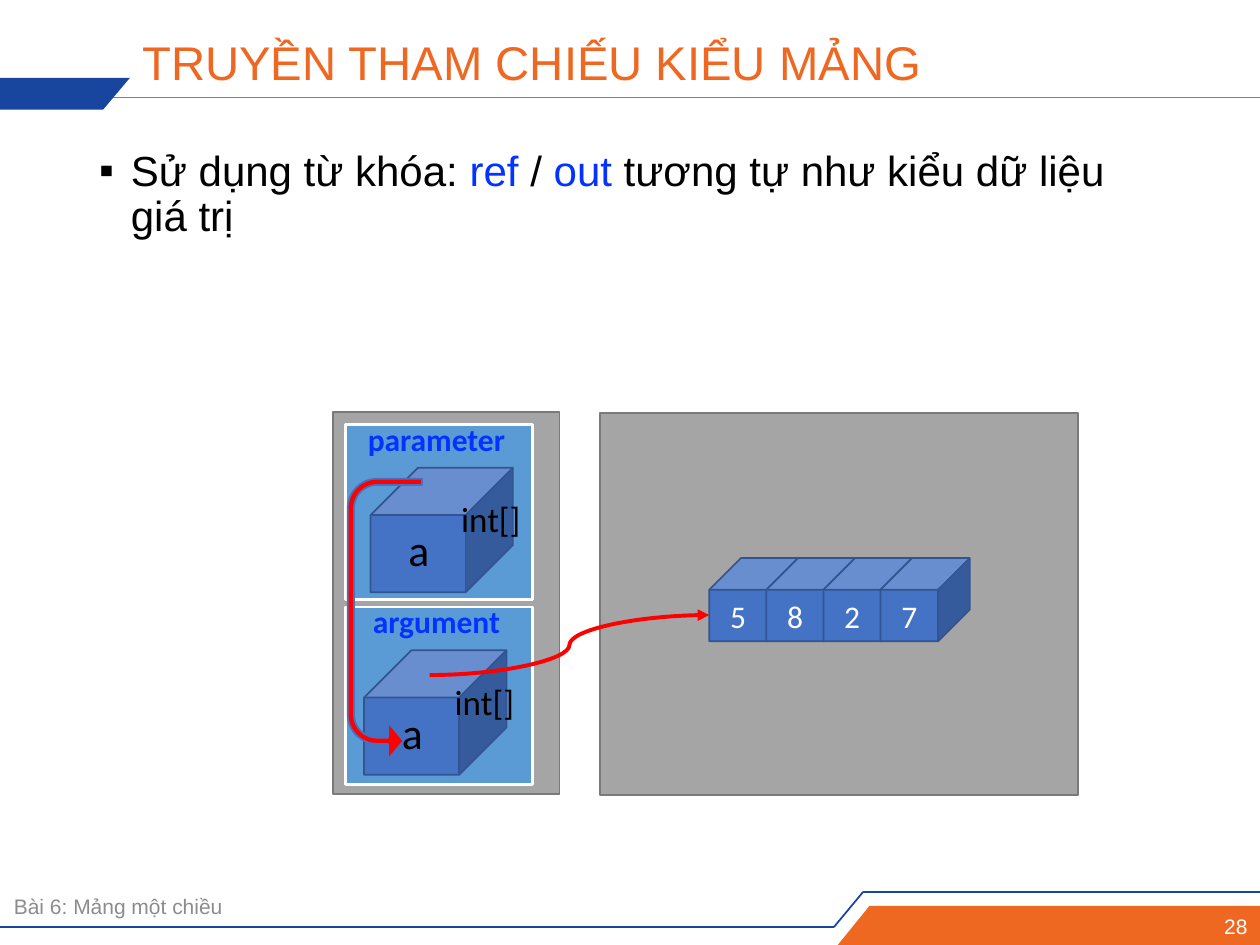
from dataclasses import dataclass

from lxml import etree
from pptx import Presentation
from pptx.dml.color import RGBColor
from pptx.enum.shapes import MSO_CONNECTOR, MSO_SHAPE
from pptx.enum.text import MSO_ANCHOR, PP_ALIGN
from pptx.oxml.ns import qn
from pptx.util import Cm, Pt

LEFT, CENTER, RIGHT = PP_ALIGN.LEFT, PP_ALIGN.CENTER, PP_ALIGN.RIGHT
TOP, MIDDLE = MSO_ANCHOR.TOP, MSO_ANCHOR.MIDDLE
RECT, CUBE, UTURN = MSO_SHAPE.RECTANGLE, MSO_SHAPE.CUBE, MSO_SHAPE.U_TURN_ARROW
STRAIGHT, CURVE = MSO_CONNECTOR.STRAIGHT, MSO_CONNECTOR.CURVE


@dataclass(frozen=True)
class Theme:
    orange: str = "EF6822"
    navy: str = "18459E"
    rule: str = "7F7F7F"
    muted: str = "8C8C8C"
    black: str = "000000"
    white: str = "FFFFFF"
    keyword: str = "0432FF"
    memory: str = "A5A5A5"
    memory_edge: str = "7A7A7A"
    variable: str = "5B9BD5"
    cube: str = "4472C4"
    cube_edge: str = "325491"
    arrow: str = "FF0000"
    heading_font: str = "Arial"
    diagram_font: str = "Calibri"
    title: float = 27
    body: float = 24
    small: float = 12
    name: float = 25
    kind: float = 20
    label: float = 18


T = Theme()


def rgb(color):
    return RGBColor.from_string(color)


def write(tf, runs, size, color=T.black, font=T.heading_font, bold=False,
          align=LEFT, anchor=TOP, spacing=None, bullet=None, wrap=True):
    tf.word_wrap = wrap
    tf.vertical_anchor = anchor
    p = tf.paragraphs[0]
    p.alignment = align
    if spacing:
        p.line_spacing = spacing
    if bullet:
        pPr = p._p.get_or_add_pPr()
        pPr.set("marL", str(Cm(0.64)))
        pPr.set("indent", str(-Cm(0.64)))
        etree.SubElement(pPr, qn("a:buFont")).set("typeface", font)
        etree.SubElement(pPr, qn("a:buChar")).set("char", bullet)
    for text, run_color in [(runs, color)] if isinstance(runs, str) else runs:
        r = p.add_run()
        r.text = text
        r.font.name = font
        r.font.size = Pt(size)
        r.font.bold = bold
        r.font.color.rgb = rgb(run_color)


def add_text(s, x, y, w, h, runs, size, **fmt):
    tb = s.shapes.add_textbox(Cm(x), Cm(y), Cm(w), Cm(h))
    write(tb.text_frame, runs, size, **fmt)


def paint(sp, fill, line=None, width=1):
    sp.shadow.inherit = False
    sp.fill.solid()
    sp.fill.fore_color.rgb = rgb(fill)
    if line:
        sp.line.color.rgb = rgb(line)
        sp.line.width = Pt(width)
    else:
        sp.line.fill.background()


def add_shape(s, kind, x, y, w, h, fill, line, width=1, adjustments=()):
    sp = s.shapes.add_shape(kind, Cm(x), Cm(y), Cm(w), Cm(h))
    for i, value in enumerate(adjustments):
        sp.adjustments[i] = value
    paint(sp, fill, line, width)
    return sp


def add_cube(s, x, y, w, h):
    return add_shape(s, CUBE, x, y, w, h, T.cube, T.cube_edge,
                     adjustments=[0.38])


def add_polygon(s, points, fill):
    start, *rest = [(Cm(x), Cm(y)) for x, y in points]
    fb = s.shapes.build_freeform(*start)
    fb.add_line_segments(rest)
    paint(fb.convert_to_shape(), fill)


def add_line(s, start, end, color, width=1, kind=STRAIGHT, arrow=False):
    cx = s.shapes.add_connector(kind, *(Cm(v) for v in (*start, *end)))
    cx.line.color.rgb = rgb(color)
    cx.line.width = Pt(width)
    if arrow:
        ln = cx.line._get_or_add_ln()
        etree.SubElement(ln, qn("a:tailEnd")).set("type", "triangle")
    etree.SubElement(cx._element.spPr, qn("a:effectLst"))


def header(s, x, y, w):
    add_line(s, (x + 1.83, y + 1.96), (x + w, y + 1.96), T.rule, 0.75)
    add_polygon(s, [(x, y + 1.57), (x + 2.62, y + 1.57),
                    (x + 2.08, y + 2.21), (x, y + 2.21)], T.navy)
    add_text(s, x + 2.62, y + 0.64, 21.03, 1.35, "TRUYỀN THAM CHIẾU KIỂU MẢNG",
             T.title, color=T.orange, anchor=MIDDLE, spacing=0.9)


def footer(s, x, y, w, h):
    right, bottom = x + w, y + h
    steps = [(x, y + 0.81), (x + 16.81, y + 0.81), (x + 17.4, y + 0.1),
             (right, y + 0.1)]
    for start, end in zip(steps, steps[1:]):
        add_line(s, start, end, T.navy)
    add_polygon(s, [(x + 17.53, y + 0.38), (right, y + 0.38),
                    (right, bottom), (x + 16.89, bottom)], T.orange)
    add_text(s, x + 0.03, y, 16.74, 0.79, "Bài 6: Mảng một chiều", T.small,
             color=T.muted, anchor=MIDDLE)
    add_text(s, right - 5.31, y + 0.43, 5.31, 0.71, "28", T.small,
             color=T.white, align=RIGHT, anchor=MIDDLE)


def body(s, x, y, w, h):
    runs = [("Sử dụng từ khóa: ", T.black), ("ref", T.keyword),
            (" / ", T.black), ("out ", T.keyword),
            ("tương tự như kiểu dữ liệu giá trị", T.black)]
    add_text(s, x, y, w, h, runs, T.body, spacing=0.9, bullet="▪")


def variable(s, x, y, w, h, label, cube_dx):
    add_shape(s, RECT, x, y, w, h, T.variable, T.white, 1.5)
    cube_x, cube_y = x + cube_dx, y + 0.87
    add_cube(s, cube_x, cube_y, 2.87, 2.51)
    fmt = dict(font=T.diagram_font, align=CENTER, wrap=False)
    add_text(s, cube_x + 0.48, cube_y + 0.99, 0.99, 1.32, "a", T.name, **fmt)
    add_text(s, cube_x + 1.55, cube_y + 0.48, 1.75, 1.12, "int[]", T.kind, **fmt)
    add_text(s, x - 0.05, y - 0.22, w, 1.02, label, T.label,
             color=T.keyword, bold=True, **fmt)


def stack_memory(s, x, y, w, h):
    add_shape(s, RECT, x, y, w, h, T.memory, T.memory_edge)
    variable(s, x + 0.25, y + 0.25, 3.78, 3.53, "parameter", 0.51)
    variable(s, x + 0.25, y + 3.93, 3.78, 3.58, "argument", 0.38)


def heap_memory(s, x, y, w, h):
    add_shape(s, RECT, x, y, w, h, T.memory, T.memory_edge)
    for i, value in enumerate("5827"):
        sp = add_cube(s, x + 2.21 + i * 1.15, y + 2.92, 1.8, 1.68)
        write(sp.text_frame, value, T.label, color=T.white,
              font=T.diagram_font, align=CENTER, anchor=MIDDLE)


def reference_arrows(s, x, y):
    add_line(s, (x + 1.95, y + 5.3), (x + 7.59, y + 4.09), T.arrow, 2.25,
             kind=CURVE, arrow=True)
    sp = add_shape(s, UTURN, x - 1.78, y + 3.42, 5.66, 1.5, T.arrow, T.cube,
                   adjustments=[0.085, 0.25, 0.209, 0.396, 0.75])
    sp.rotation = 90
    sp._element.spPr.find(qn("a:xfrm")).set("flipV", "1")


def main():
    prs = Presentation()
    prs.slide_width, prs.slide_height = Cm(25.4), Cm(19.05)
    s = prs.slides.add_slide(prs.slide_layouts[6])
    header(s, 0, 0, 25.4)
    footer(s, 0, 17.88, 25.4, 1.17)
    body(s, 1.75, 2.9, 21.9, 14.24)
    stack_memory(s, 6.71, 8.31, 4.57, 7.7)
    heap_memory(s, 12.09, 8.33, 9.65, 7.7)
    reference_arrows(s, 6.71, 8.31)
    prs.save("out.pptx")


if __name__ == "__main__":
    main()
